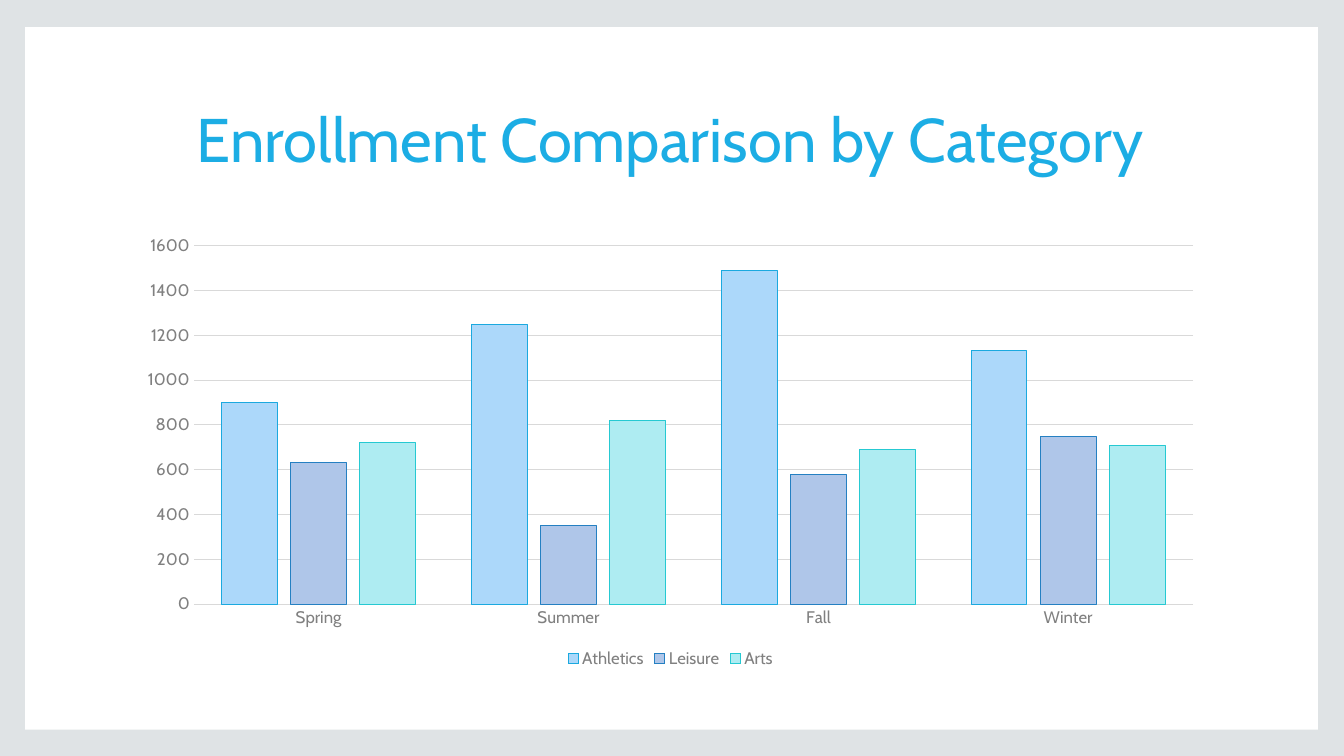
from lxml.etree import SubElement
from pptx import Presentation
from pptx.chart.data import CategoryChartData
from pptx.dml.color import RGBColor
from pptx.enum.chart import XL_CHART_TYPE, XL_LEGEND_POSITION, XL_TICK_MARK
from pptx.enum.shapes import MSO_SHAPE
from pptx.enum.text import MSO_ANCHOR, MSO_AUTO_SIZE, PP_ALIGN
from pptx.oxml.ns import qn
from pptx.util import Inches, Pt

TITLE = "Enrollment Comparison by Category"
SEASONS = ["Spring", "Summer", "Fall", "Winter"]
FONT = "Cabin"
BACKDROP = RGBColor(0xDF, 0xE3, 0xE5)
WHITE = RGBColor(0xFF, 0xFF, 0xFF)
TITLE_BLUE = RGBColor(0x1C, 0xAD, 0xE4)
LABEL_GRAY = RGBColor(0x80, 0x80, 0x80)
GRID_GRAY = RGBColor(0xD9, 0xD9, 0xD9)
ENROLLMENT = [
    ("Athletics", (900, 1250, 1490, 1130),
     RGBColor(0xAC, 0xD8, 0xFA), RGBColor(0x1B, 0xA9, 0xDF)),
    ("Leisure", (630, 350, 580, 750),
     RGBColor(0xAF, 0xC6, 0xE9), RGBColor(0x25, 0x80, 0xC2)),
    ("Arts", (720, 820, 690, 710),
     RGBColor(0xAE, 0xEC, 0xF2), RGBColor(0x26, 0xC9, 0xD2)),
]
LEFT, WIDTH = Inches(1.25), Inches(10.8)


def style_font(font, size, color):
    font.name = FONT
    font.size = Pt(size)
    font.bold = False
    font.color.rgb = color


def style_line(line, color):
    line.color.rgb = color
    line.width = Pt(0.75)


def add_panel(slide):
    panel = slide.shapes.add_shape(
        MSO_SHAPE.RECTANGLE, Inches(0.25), Inches(0.27), Inches(12.82), Inches(6.97))
    panel.shadow.inherit = False
    panel.fill.solid()
    panel.fill.fore_color.rgb = WHITE
    panel.line.fill.background()
    slide.shapes._spTree.insert(2, panel._element)


def add_title(slide):
    title = slide.shapes.title
    title.left, title.top, title.width, title.height = LEFT, Inches(0.67), WIDTH, Inches(1.48)
    frame = title.text_frame
    frame.text = TITLE
    frame.word_wrap = True
    frame.auto_size = MSO_AUTO_SIZE.NONE
    frame.vertical_anchor = MSO_ANCHOR.MIDDLE
    heading = frame.paragraphs[0]
    heading.alignment = PP_ALIGN.CENTER
    heading.line_spacing = 0.9
    style_font(heading.runs[0].font, 44, TITLE_BLUE)


def add_enrollment_chart(slide):
    enrollment = CategoryChartData(number_format="General")
    enrollment.categories = SEASONS
    for name, counts, _, _ in ENROLLMENT:
        enrollment.add_series(name, counts)
    chart = slide.shapes.add_chart(
        XL_CHART_TYPE.COLUMN_CLUSTERED, LEFT, Inches(2.25), WIDTH, Inches(4.42),
        enrollment).chart
    chart.has_title = False
    style_font(chart.font, 12, LABEL_GRAY)
    chart.has_legend = True
    chart.legend.position = XL_LEGEND_POSITION.BOTTOM
    chart.legend.include_in_layout = False
    style_font(chart.legend.font, 12, LABEL_GRAY)

    for axis in (chart.category_axis, chart.value_axis):
        axis.major_tick_mark = axis.minor_tick_mark = XL_TICK_MARK.NONE
        style_font(axis.tick_labels.font, 12, LABEL_GRAY)
    style_line(chart.category_axis.format.line, GRID_GRAY)
    counts_axis = chart.value_axis
    counts_axis.minimum_scale = 0
    counts_axis.maximum_scale = 1600
    counts_axis.major_unit = 200
    counts_axis.format.line.fill.background()
    style_line(counts_axis.major_gridlines.format.line, GRID_GRAY)

    columns = chart.plots[0]
    columns.vary_by_categories = False
    columns.gap_width = 100
    columns.overlap = -24
    for series, (_, _, fill, outline) in zip(columns.series, ENROLLMENT):
        series.format.fill.solid()
        series.format.fill.fore_color.rgb = fill
        style_line(series.format.line, outline)
        SubElement(series.format.line._ln.getparent(), qn("a:effectLst"))


def main():
    deck = Presentation()
    deck.slide_width, deck.slide_height = Inches(13.33), Inches(7.5)
    slide = deck.slides.add_slide(deck.slide_layouts[5])
    slide.background.fill.solid()
    slide.background.fill.fore_color.rgb = BACKDROP
    add_panel(slide)
    add_title(slide)
    add_enrollment_chart(slide)
    deck.save("out.pptx")


if __name__ == "__main__":
    main()
